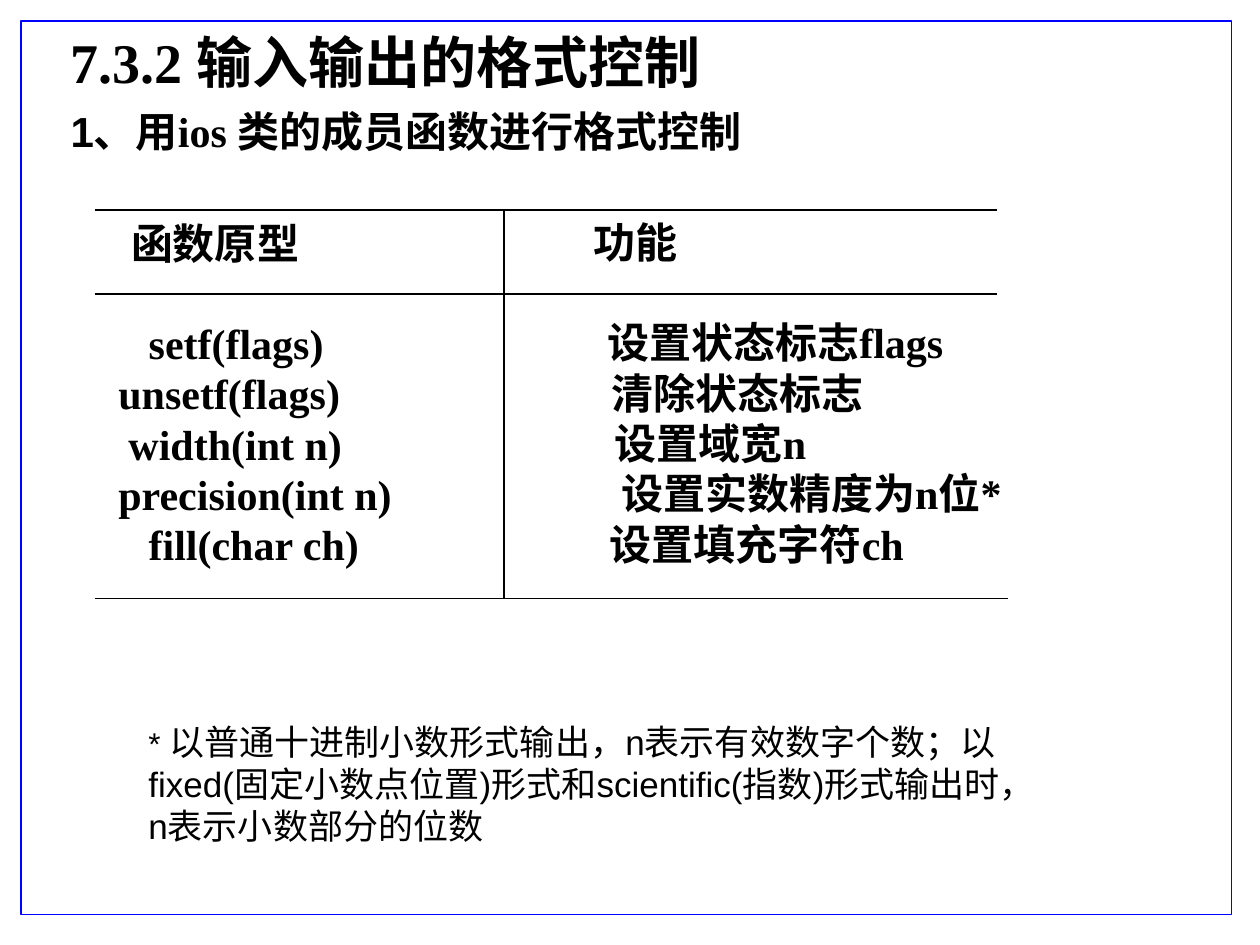
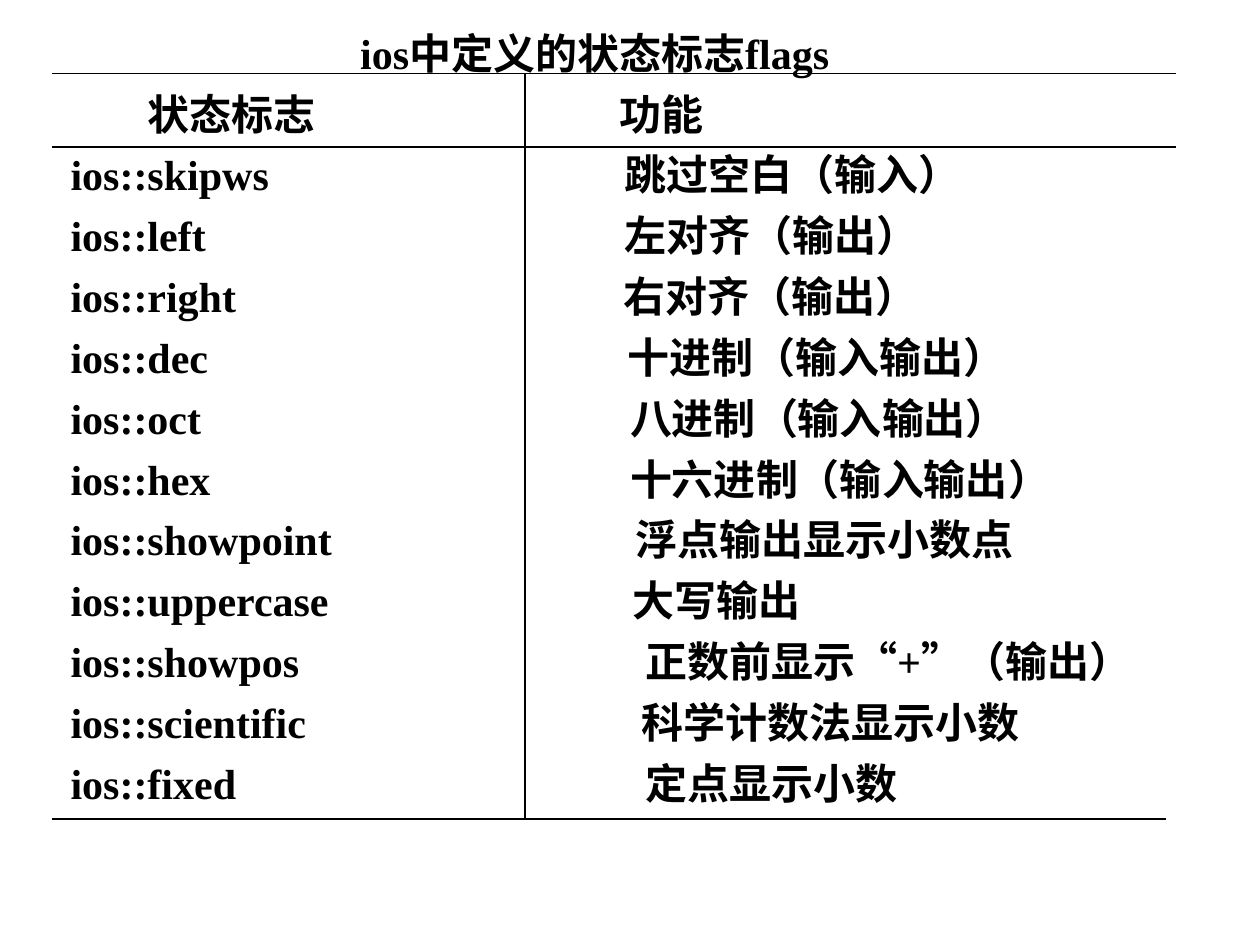
from pptx import Presentation
from pptx.dml.color import RGBColor
from pptx.enum.shapes import MSO_CONNECTOR, MSO_SHAPE
from pptx.enum.text import MSO_ANCHOR, MSO_AUTO_SIZE, PP_ALIGN
from pptx.oxml.ns import qn
from pptx.util import Inches, Pt
from lxml import etree

LINE = MSO_CONNECTOR.STRAIGHT
RECT = MSO_SHAPE.RECTANGLE
TOP = MSO_ANCHOR.TOP
FIXED = MSO_AUTO_SIZE.NONE
LEFT, CENTER = PP_ALIGN.LEFT, PP_ALIGN.CENTER

BLACK = RGBColor(0, 0, 0)
BLUE = RGBColor(0, 0, 255)
SERIF, SANS = "Times New Roman", "Arial"
EDGE, MID = 0.46, 4.5
INSET = 0.1
PITCH = Pt(28.75)

FUNCS = [
    (1.18, "setf(flags)", 4.82, "设置状态标志flags"),
    (0.94, "unsetf(flags)", 4.85, "清除状态标志"),
    (1.02, "width(int n)", 4.88, "设置域宽n"),
    (0.94, "precision(int n)", 4.93, "设置实数精度为n位*"),
    (1.18, "fill(char ch)", 4.84, "设置填充字符ch"),
]
FLAGS = [
    ("skipws", 4.96, "跳过空白（输入）"),
    ("left", 4.96, "左对齐（输出）"),
    ("right", 4.95, "右对齐（输出）"),
    ("dec", 4.98, "十进制（输入输出）"),
    ("oct", 5, "八进制（输入输出）"),
    ("hex", 5, "十六进制（输入输出）"),
    ("showpoint", 5.04, "浮点输出显示小数点"),
    ("uppercase", 5.02, "大写输出"),
    ("showpos", 5.12, "正数前显示“+”（输出）"),
    ("scientific", 5.09, "科学计数法显示小数"),
    ("fixed", 5.12, "定点显示小数"),
]
NOTE = ("以普通十进制小数形式输出，n表示有效数字个数；"
        "以fixed(固定小数点位置)形式和scientific(指数)形式输出时，"
        "n表示小数部分的位数")


def set_frame(shape, box):
    shape.left, shape.top, shape.width, shape.height = map(Inches, box)
    frame = shape.text_frame
    frame.word_wrap = True
    frame.auto_size = FIXED
    frame.vertical_anchor = TOP
    return frame


def style(para, size, face=SERIF, bold=True, gap=0, align=LEFT, shift=0):
    props = para._p.get_or_add_pPr()
    props.set("marL", str(Inches(shift)))
    props.set("indent", "0")
    etree.SubElement(props, qn("a:buNone"))
    para.alignment = align
    para.space_before = Pt(gap)
    font = para.font
    font.size, font.name, font.bold = Pt(size), face, bold
    font.color.rgb = BLACK


def add_title(slide, text, box, size, align=LEFT):
    para = set_frame(slide.shapes.title, box).paragraphs[0]
    para.text = text
    style(para, size, align=align)


def add_cell(frame, text, shift, gap=0):
    para = frame.add_paragraph() if frame.text else frame.paragraphs[0]
    para.text = text
    style(para, 24, gap=gap, shift=shift)
    para.line_spacing = PITCH


def add_row(left, right, x1, name, x2, use, gap=0, lead=None):
    add_cell(left, name, x1 - EDGE - INSET, gap)
    add_cell(right, use, x2 - MID - INSET, gap if lead is None else lead)


def add_line(slide, *ends):
    line = slide.shapes.add_connector(LINE, *(Inches(n / 12) for n in ends))
    line.line.color.rgb = BLACK
    line.line.width = Pt(0.75)
    etree.SubElement(line._element.spPr, qn("a:effectLst"))


def add_grid(slide, left, ends, rows, split):
    for y, right in zip(rows, ends):
        add_line(slide, left, y, right, y)
    add_line(slide, split, rows[0], split, rows[-1])


def add_frame(slide):
    box = (1 / 6, 1 / 6, 9.61, 7.09)
    shape = slide.shapes.add_shape(RECT, *map(Inches, box))
    shape.shadow.inherit = False
    shape.fill.background()
    shape.line.color.rgb = BLUE
    shape.line.width = Pt(0.75)


def add_note(slide):
    box = (1.08, 5.67, 7.17, 1.1)
    shape = slide.shapes.add_textbox(*map(Inches, box))
    para = set_frame(shape, box).paragraphs[0]
    star = para.add_run()
    star.text = "* "
    star.font.size = Pt(18)
    para.add_run().text = NOTE
    style(para, 20, face=SANS, bold=False)


def add_funcs(deck):
    slide = deck.slides.add_slide(deck.slide_layouts[3])
    add_title(slide, "7.3.2 输入输出的格式控制", (EDGE, 0.17, 9.24, 0.6), 32)
    left = set_frame(slide.placeholders[1], (EDGE, 0.79, 9.24, 4))
    right = set_frame(slide.placeholders[2], (MID, 1.67, 5.2, 3.12))
    head = left.paragraphs[0]
    for text in ("1、用", "ios ", "类的成员函数进行格式控制"):
        run = head.add_run()
        run.text = text
        if text == "ios ":
            run.font.name = SERIF
    style(head, 24, face=SANS)
    add_row(left, right, 1.04, "函数原型", 4.71, "功能", gap=35, lead=0)
    for i, row in enumerate(FUNCS):
        add_row(left, right, *row, gap=0 if i else 28.5)
    add_frame(slide)
    add_grid(slide, 9, (95, 95, 96), (20, 28, 57), 48)
    add_note(slide)


def add_flags(deck):
    slide = deck.slides.add_slide(deck.slide_layouts[3])
    add_title(slide, "ios中定义的状态标志flags", (0.42, 0.17, 8.6, 0.48), 24, CENTER)
    left = set_frame(slide.placeholders[1], (EDGE, 0.65, 3.6, 6.45))
    right = set_frame(slide.placeholders[2], (MID, 0.65, 5.2, 6.45))
    add_row(left, right, 1.17, "状态标志", 4.92, "功能")
    for name, x, use in FLAGS:
        add_row(left, right, EDGE + INSET, "ios::" + name, x, use, gap=6)
    add_grid(slide, 5, (112, 112, 111), (7, 14, 78), 50)


def main():
    deck = Presentation()
    deck.slide_width, deck.slide_height = Inches(10), Inches(7.5)
    add_funcs(deck)
    add_flags(deck)
    deck.save("out.pptx")


if __name__ == "__main__":
    main()
